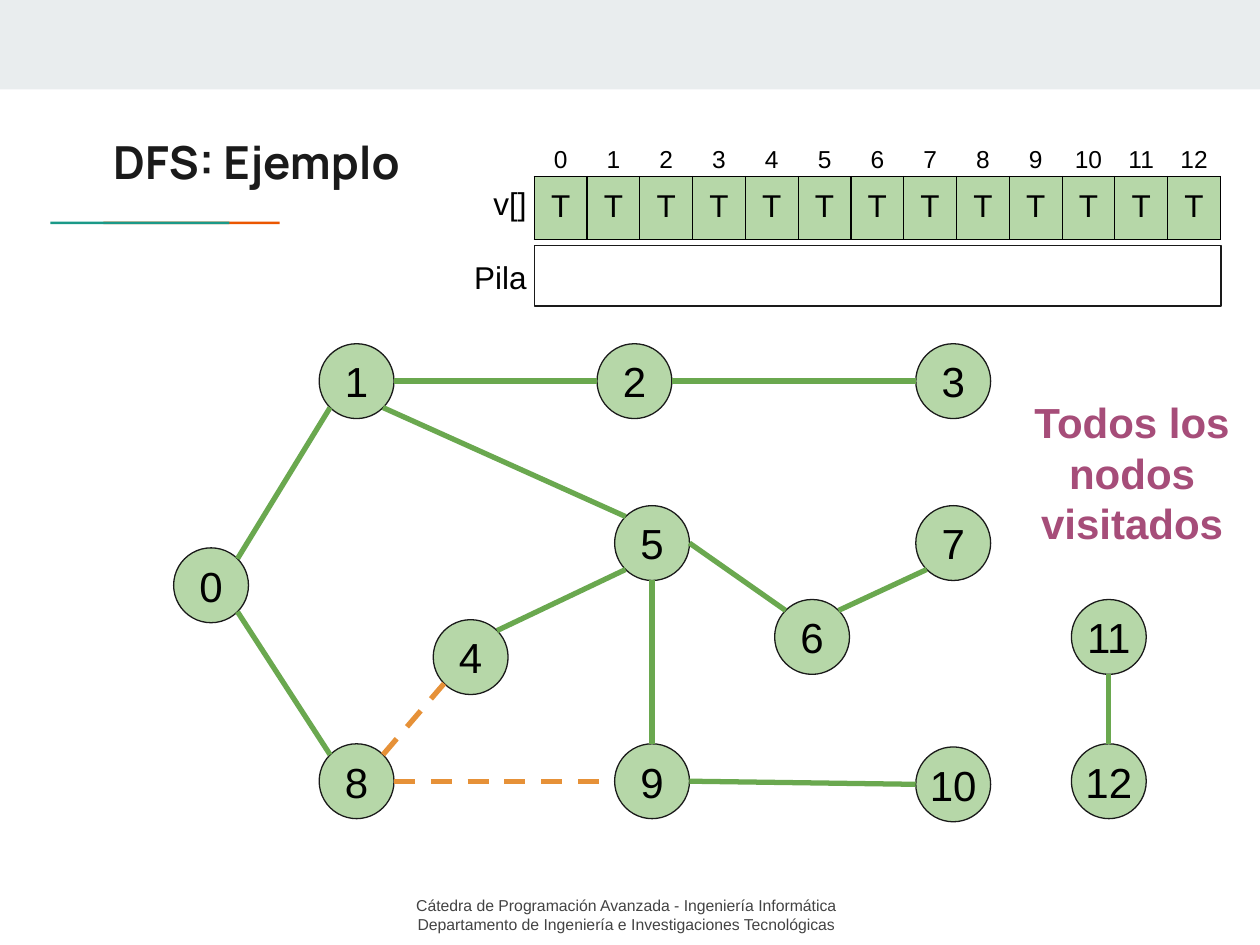
from math import sqrt

from lxml import etree
from pptx import Presentation
from pptx import util as u
from pptx.dml.color import RGBColor
from pptx.enum import dml, shapes, text
from pptx.oxml.ns import qn

INK = RGBColor(0x1A, 0x1A, 0x1A)
BLACK = RGBColor(0, 0, 0)
GREY = RGBColor(0x43, 0x43, 0x43)
BAND = RGBColor(0xE9, 0xED, 0xEE)
TEAL = RGBColor(0x1A, 0x99, 0x88)
ORANGE = RGBColor(0xEB, 0x56, 0x00)
VISITED = RGBColor(0xB6, 0xD7, 0xA8)
TREE_EDGE = RGBColor(0x6A, 0xA8, 0x4F)
BACK_EDGE = RGBColor(0xE6, 0x91, 0x38)
PLUM = RGBColor(0xA6, 0x4D, 0x79)
LEFT, CENTER, RIGHT = text.PP_ALIGN.LEFT, text.PP_ALIGN.CENTER, text.PP_ALIGN.RIGHT
NO_STYLE = "{2D5ABB26-0587-4C30-8999-92F81FD0307C}"

prs = Presentation()
prs.slide_width, prs.slide_height = u.Inches(10), u.Inches(7.5)
s = prs.slides.add_slide(prs.slide_layouts[6])


def grid(*cells):
    """Turn positions on a grid of 100 columns by 75 rows into slide lengths."""
    return [int(c * prs.slide_width / 100) for c in cells]


def write(tf, lines, size, color=BLACK, align=CENTER, font="Arial", bold=False, sides=(1, 1)):
    """Fill a text frame or table cell; sides are its left and right margins."""
    margins = dict(zip(("margin_left", "margin_right", "margin_top", "margin_bottom"),
                       grid(*sides, 1, 1)))
    for name, value in margins.items():
        setattr(tf, name, value)
    frame = getattr(tf, "text_frame", tf)
    frame.word_wrap = True
    for i, line in enumerate(lines):
        p = frame.paragraphs[0] if i == 0 else frame.add_paragraph()
        p.alignment = align
        r = p.add_run()
        r.text = line
        for name, value in dict(size=u.Pt(size), name=font, bold=bold).items():
            setattr(r.font, name, value)
        r.font.color.rgb = color


# Top band and accent line
for box, color in [((0, 0, 100, 7.1), BAND),
                   ((8.2, 17.6, 14, 0.2), ORANGE),
                   ((4, 17.6, 14.2, 0.2), TEAL)]:
    sp = s.shapes.add_shape(shapes.MSO_SHAPE.RECTANGLE, *grid(*box))
    sp.shadow.inherit = False
    sp.fill.solid()
    sp.fill.fore_color.rgb = color
    sp.line.fill.background()

# Title, labels, message and footer
for box, lines, fmt in [
    ((8, 9.6, 84.1, 7.8), ["DFS: Ejemplo"],
     dict(size=26, color=INK, align=LEFT, font="Manrope", bold=True)),
    ((31.3, 13.6, 11.1, 4.8), ["v[]"], dict(size=18, align=RIGHT, sides=(0.2, 0.6))),
    ((31.3, 19.5, 11.1, 4.8), ["Pila"], dict(size=18, align=RIGHT, sides=(0.2, 0.6))),
    ((80.2, 30.5, 19.3, 13.9), ["Todos los nodos visitados"],
     dict(size=24, color=PLUM, bold=True)),
    ((0, 70.1, 99.4, 4.9),
     ["Cátedra de Programación Avanzada - Ingeniería Informática",
      "Departamento de Ingeniería e Investigaciones Tecnológicas"],
     dict(size=9, color=GREY)),
]:
    write(s.shapes.add_textbox(*grid(*box)).text_frame, lines, **fmt)

# Empty stack
stack = s.shapes.add_shape(shapes.MSO_SHAPE.RECTANGLE, *grid(42.4, 19.5, 54.5, 4.8))
stack.shadow.inherit = False
stack.fill.background()
stack.line.color.rgb = INK
stack.line.width = u.Pt(0.75)

# Graph nodes: centre column and row
R = 2.97
nodes = {0: (16.75, 46.45), 1: (28.3, 30.25), 2: (50.35, 30.25), 3: (75.65, 30.25),
         4: (37.35, 52.15), 5: (51.75, 43.1), 6: (64.45, 50.55), 7: (75.65, 43.1),
         8: (28.3, 62), 9: (51.75, 62), 10: (75.65, 62.25),
         11: (88, 50.55), 12: (88, 62)}
for number, (x, y) in nodes.items():
    sp = s.shapes.add_shape(shapes.MSO_SHAPE.OVAL, *grid(x - R, y - R, 2 * R, 2 * R))
    sp.shadow.inherit = False
    sp.fill.solid()
    sp.fill.fore_color.rgb = VISITED
    sp.line.color.rgb = INK
    sp.line.width = u.Pt(0.75)
    sp.text_frame.vertical_anchor = text.MSO_ANCHOR.MIDDLE
    write(sp.text_frame, [str(number)], 24, sides=(0.2, 0.2))

# Edges: each end leaves its node in one of eight directions
D = 1 / sqrt(2)
compass = dict(N=(0, -1), S=(0, 1), E=(1, 0), W=(-1, 0),
               NE=(D, -D), NW=(-D, -D), SE=(D, D), SW=(-D, D))
tree = [(0, "NE", 1, "SW"), (1, "E", 2, "W"), (0, "SE", 8, "NW"), (9, "E", 10, "W"),
        (9, "N", 5, "S"), (2, "E", 3, "W"), (4, "NE", 5, "SW"), (1, "SE", 5, "NW"),
        (5, "E", 6, "NW"), (6, "NE", 7, "SW"), (12, "N", 11, "S")]
back = [(8, "NE", 4, "SW"), (8, "E", 9, "W")]
for a, a_side, b, b_side in tree + back:
    ends = [c + R * d for node, side in ((a, a_side), (b, b_side))
            for c, d in zip(nodes[node], compass[side])]
    edge = s.shapes.add_connector(shapes.MSO_CONNECTOR.STRAIGHT, *grid(*ends))
    etree.SubElement(edge.line._get_or_add_ln().getparent(), qn("a:effectLst"))
    edge.line.width = u.Pt(3)
    is_back = (a, a_side, b, b_side) in back
    edge.line.color.rgb = BACK_EDGE if is_back else TREE_EDGE
    if is_back:
        edge.line.dash_style = dml.MSO_LINE.DASH

# Visited array, then its indices above
COUNT = len(nodes)
for top, height, values, size, boxed in [(14, 4.8, ["T"] * COUNT, 18, True),
                                         (10.6, 4.2, range(COUNT), 14, False)]:
    table = s.shapes.add_table(1, COUNT, *grid(42.4, top, 54.5, height)).table
    table.first_row = table.horz_banding = False
    table._tbl.tblPr.find(qn("a:tableStyleId")).text = NO_STYLE
    for i, value in enumerate(values):
        table.columns[i].width = grid(54.5 / COUNT)[0]
        cell = table.cell(0, i)
        write(cell, [str(value)], size)
        if not boxed:
            cell.fill.background()
            continue
        tc_pr = cell._tc.get_or_add_tcPr()
        for side in ("lnL", "lnR", "lnT", "lnB"):
            ln = etree.SubElement(tc_pr, qn("a:" + side), w=str(u.Pt(0.75)))
            fill = etree.SubElement(ln, qn("a:solidFill"))
            etree.SubElement(fill, qn("a:srgbClr"), val=str(BLACK))
        cell.fill.solid()
        cell.fill.fore_color.rgb = VISITED

prs.save("out.pptx")
